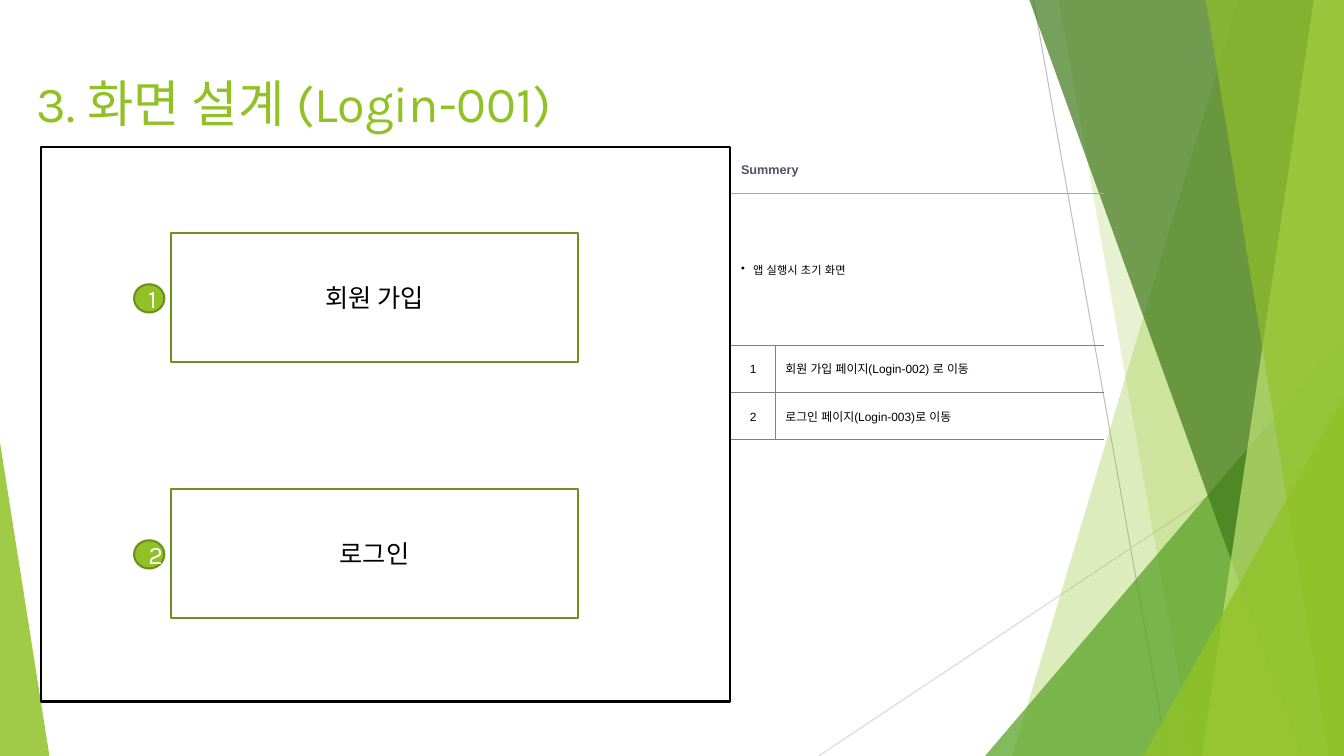
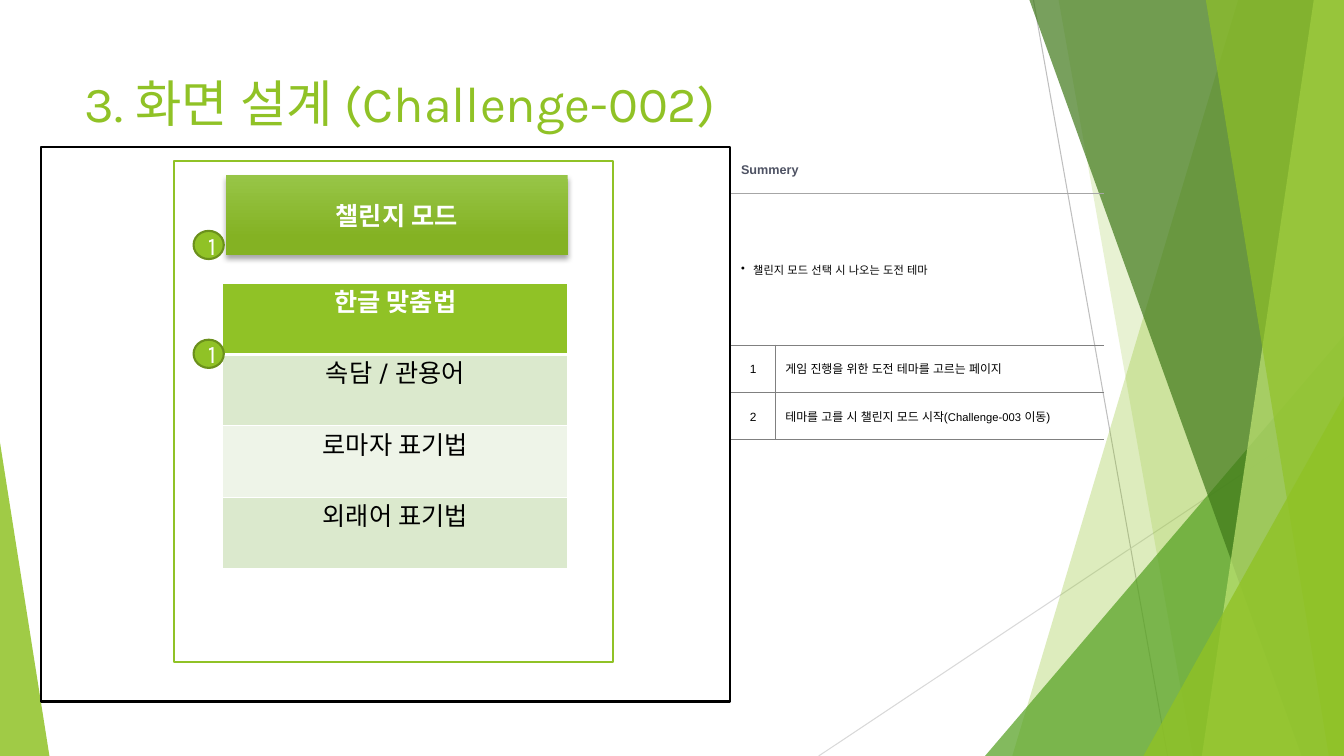
from lxml.etree import SubElement
from pptx import Presentation
from pptx.dml.color import RGBColor
from pptx.enum.shapes import MSO_CONNECTOR, MSO_SHAPE
from pptx.enum.text import MSO_ANCHOR, MSO_AUTO_SIZE, PP_ALIGN
from pptx.oxml.ns import qn
from pptx.util import Inches, Pt

WIDE, HIGH = 13.33, 7.5
COLORS = {
    "green": "90C226", "edge": "6B901C", "leaf": "54A021", "dark": "3F7819",
    "lime": "C0E474", "white": "FFFFFF", "black": "000000", "slate": "4E5263",
    "rule": "808080", "soft": "A6A6A6", "ray": "BFBFBF", "pale": "D9D9D9",
    "band": "DBE9CD", "light": "EEF4E8", "top": "97C547", "base": "84B223",
}
CENTER, LEFT, FULL = PP_ALIGN.CENTER, PP_ALIGN.LEFT, PP_ALIGN.JUSTIFY
PANEL = (0.41, 1.46, 6.83, 5.5)
NOTES = (7.25, 1.46, 3.7, 2.9)


def rgb(name):
    return RGBColor.from_string(COLORS[name])


def assign(target, values):
    for key, value in values.items():
        setattr(target, key, value)


def write(frame, text, size=18, color="black", bold=False, font="Karla",
          align=CENTER, space=None):
    """Fill the first paragraph; text is a string or (text, size) parts."""
    line = frame.paragraphs[0]
    assign(line, {"alignment": align, "line_spacing": space})
    parts = [(text, size)] if isinstance(text, str) else text
    for words, points in parts:
        run = line.add_run()
        run.text = words
        assign(run.font, {"size": Pt(points), "bold": bold, "name": font})
        run.font.color.rgb = rgb(color)
        SubElement(run.font._element, qn("a:ea"), typeface=font)
    return line


def paint(shape, fill=None, line=None, alpha=None):
    shape.shadow.inherit = False
    if fill:
        shape.fill.solid()
        shape.fill.fore_color.rgb = rgb(fill)
    if alpha:
        tint = shape.element.spPr.find(qn("a:solidFill"))[0]
        SubElement(tint, qn("a:alpha"), val=str(alpha * 1000))
    if line:
        shape.line.color.rgb = rgb(line)
        shape.line.width = Pt(1.5)
    else:
        shape.line.fill.background()
    return shape


def block(slide, kind, box, **look):
    return paint(slide.shapes.add_shape(kind, *map(Inches, box)), **look)


# Shared backdrop
def add_ray(slide, start, end, color):
    ray = slide.shapes.add_connector(
        MSO_CONNECTOR.STRAIGHT, *map(Inches, start + end))
    ray.line.color.rgb = rgb(color)
    ray.line.width = Pt(0.75)
    SubElement(ray.element.spPr, qn("a:effectLst"))


def add_wedge(slide, top, foot, color, alpha):
    """Band from the slanted edge top-foot to the right side."""
    points = [(top, 0), (WIDE, 0), (WIDE, HIGH), (foot, HIGH)]
    points = [(Inches(x), Inches(y)) for x, y in points]
    form = slide.shapes.build_freeform(*points[0])
    form.add_line_segments(points[1:])
    paint(form.convert_to_shape(), color, alpha=alpha)


def add_peak(slide, left, top, width, tip, color, alpha):
    box = (left, top, width, HIGH - top)
    peak = block(slide, MSO_SHAPE.ISOSCELES_TRIANGLE, box,
                 fill=color, alpha=alpha)
    peak.adjustments[0] = tip


def add_art(slide):
    add_ray(slide, (10.25, 0), (11.58, HIGH), "ray")
    add_ray(slide, (WIDE, 4.03), (8.12, HIGH), "pale")
    add_wedge(slide, 12.28, 10.04, "green", 30)
    add_wedge(slide, 10.5, 11.83, "green", 20)
    add_peak(slide, 9.77, 3.33, 3.56, 1, "leaf", 72)
    add_wedge(slide, 10.21, 12.91, "dark", 70)
    add_wedge(slide, 13.03, 11.92, "lime", 70)
    add_wedge(slide, 11.96, 13.18, "green", 65)
    add_peak(slide, 11.34, 3.93, 1.99, 1, "green", 80)
    add_peak(slide, 0, 4.39, 0.49, 0, "green", 85)


def share_art(slide):
    """Move the backdrop to the layout, behind its placeholders."""
    tree = slide.slide_layout.shapes.element
    art = [s.element for s in slide.shapes if not s.is_placeholder]
    for spot, part in enumerate(art):
        next(part.iter(qn("p:cNvPr"))).set("id", str(100 + spot))
        tree.insert(2 + spot, part)


# Tables
def add_grid(slide, box, cols, rows):
    left, top = box[:2]
    size = (left, top, sum(cols), sum(rows))
    grid = slide.shapes.add_table(
        len(rows), len(cols), *map(Inches, size)).table
    assign(grid, {"first_row": False, "horz_banding": False})
    for col, width in zip(grid.columns, cols):
        col.width = Inches(width)
    for row, height in zip(grid.rows, rows):
        row.height = Inches(height)
    return grid


def set_cell(cell, fill=None, **sides):
    """Sides L, R, T, B are (color, points); the others have no line."""
    if fill:
        cell.fill.solid()
        cell.fill.fore_color.rgb = rgb(fill)
    else:
        cell.fill.background()
    props = cell._tc.get_or_add_tcPr()
    for spot, side in enumerate("LRTB"):
        color, width = sides.get(side, (None, 0))
        edge = SubElement(props, qn(f"a:ln{side}"), w=str(Pt(width)))
        if color:
            solid = SubElement(edge, qn("a:solidFill"))
            SubElement(solid, qn("a:srgbClr"), val=COLORS[color])
        else:
            SubElement(edge, qn("a:noFill"))
        props.insert(spot, edge)


def add_notes(slide, box, summary, steps):
    grid = add_grid(slide, box, [0.44, 3.26], [0.46, 1.5, 0.47, 0.47])
    thin = ("rule", 0.25)
    for r in range(4):
        low = ("soft", 0.25) if r == 0 else thin
        high = {0: None, 1: ("soft", 0.25)}.get(r, thin)
        for c in range(2):
            sides = {"B": low}
            if high:
                sides["T"] = high
            if r > 1:
                sides["R" if c == 0 else "L"] = thin
            cell = grid.cell(r, c)
            set_cell(cell, **sides)
            cell.vertical_anchor = MSO_ANCHOR.MIDDLE
    for r in range(2):
        grid.cell(r, 0).merge(grid.cell(r, 1))
    write(grid.cell(0, 0).text_frame, "Summery", 9, "slate", True,
          "Arial", LEFT)
    line = write(grid.cell(1, 0).text_frame, summary, 8, font="Arial",
                 align=FULL, space=1.2)
    props = line._p.get_or_add_pPr()
    for key, value in {"marL": 0.12, "indent": -0.12}.items():
        props.set(key, str(Inches(value)))
    SubElement(props, qn("a:buChar"), char="•")
    for r, step in enumerate(steps, 1):
        for c, (text, align) in enumerate([(str(r), CENTER), (step, FULL)]):
            write(grid.cell(r + 1, c).text_frame, text, 8.5, font="Arial",
                  align=align, space=1.2)


def add_themes(slide, box, names):
    left, top, width, height = box
    grid = add_grid(slide, box, [width], [height / len(names)] * len(names))
    fills = ["green", "band", "light", "band"]
    for r, (name, fill) in enumerate(zip(names, fills)):
        head = r == 0
        sides = dict.fromkeys("LRTB", ("white", 1))
        if r < 2:
            sides["B" if head else "T"] = ("white", 3)
        cell = grid.cell(r, 0)
        set_cell(cell, fill, **sides)
        write(cell.text_frame, name, color="white" if head else "black",
              bold=head)


# Screen parts
def add_badge(slide, left, top, text):
    dot = block(slide, MSO_SHAPE.OVAL, (left, top, 0.3, 0.28),
                fill="green", line="edge")
    write(dot.text_frame, text, color="white")


def add_button(slide, box, text):
    rect = block(slide, MSO_SHAPE.RECTANGLE, box, fill="white", line="edge")
    write(rect.text_frame, text)


def add_banner(slide, box, text):
    rect = block(slide, MSO_SHAPE.RECTANGLE, box)
    rect.fill.gradient()
    rect.fill.gradient_angle = 270
    stops = zip(rect.fill.gradient_stops, [(0, "top"), (0.78, "base")])
    for stop, (place, color) in stops:
        stop.position = place
        stop.color.rgb = rgb(color)
    glow = SubElement(
        rect.element.spPr.find(qn("a:effectLst")), qn("a:outerShdw"),
        blurRad=str(Pt(4)), dist=str(Pt(3)), dir="5400000", rotWithShape="0")
    tint = SubElement(glow, qn("a:srgbClr"), val=COLORS["black"])
    SubElement(tint, qn("a:alpha"), val="35000")
    write(rect.text_frame, text, color="white", bold=True)


def add_login(slide, box):
    left, top = box[:2]
    for spot, name in enumerate(["회원 가입", "로그인"]):
        y = top + 0.85 + 2.54 * spot
        add_button(slide, (left + 1.29, y, 4.03, 1.28), name)
        add_badge(slide, left + 0.92, y + 0.51, str(spot + 1))


def add_quiz(slide, box):
    left, top = box[:2]
    block(slide, MSO_SHAPE.RECTANGLE, (left + 1.32, top + 0.14, 4.35, 4.97),
          fill="white", line="green")
    add_banner(slide, (left + 1.83, top + 0.28, 3.39, 0.79), "챌린지 모드")
    add_themes(slide, (left + 1.8, top + 1.35, 3.42, 2.83),
               ["한글 맞춤법", "속담 / 관용어", "로마자 표기법", "외래어 표기법"])
    for y in (0.83, 1.91):
        add_badge(slide, left + 1.51, top + y, "1")


def add_page(deck, left, name, screen, summary, steps):
    slide = deck.slides.add_slide(deck.slide_layouts[5])
    if len(deck.slides) == 1:
        add_art(slide)
        share_art(slide)
    title = slide.shapes.title
    assign(title, {"left": Inches(left), "top": Inches(0.67),
                   "width": Inches(9.4), "height": Inches(0.86)})
    assign(title.text_frame, {"vertical_anchor": MSO_ANCHOR.TOP,
                              "word_wrap": True,
                              "auto_size": MSO_AUTO_SIZE.NONE})
    write(title.text_frame, f"3. 화면 설계 ({name})", 36, "green", align=LEFT)
    block(slide, MSO_SHAPE.RECTANGLE, PANEL, fill="white", line="black")
    screen(slide, PANEL)
    add_notes(slide, NOTES, summary, steps)


def main():
    deck = Presentation()
    assign(deck, {"slide_width": Inches(WIDE), "slide_height": Inches(HIGH)})
    add_page(deck, 0.26, "Login-001", add_login, "앱 실행시 초기 화면",
             ["회원 가입 페이지(Login-002) 로 이동",
              "로그인 페이지(Login-003)로 이동"])
    add_page(deck, 0.74, "Challenge-002", add_quiz,
             "챌린지 모드 선택 시 나오는 도전 테마",
             ["게임 진행을 위한 도전 테마를 고르는 페이지",
              [("테마를 고를 시 챌린지 모드 시작(", 8.5),
               ("Challenge-003", 8), (" 이동)", 8.5)]])
    deck.save("out.pptx")


if __name__ == "__main__":
    main()
